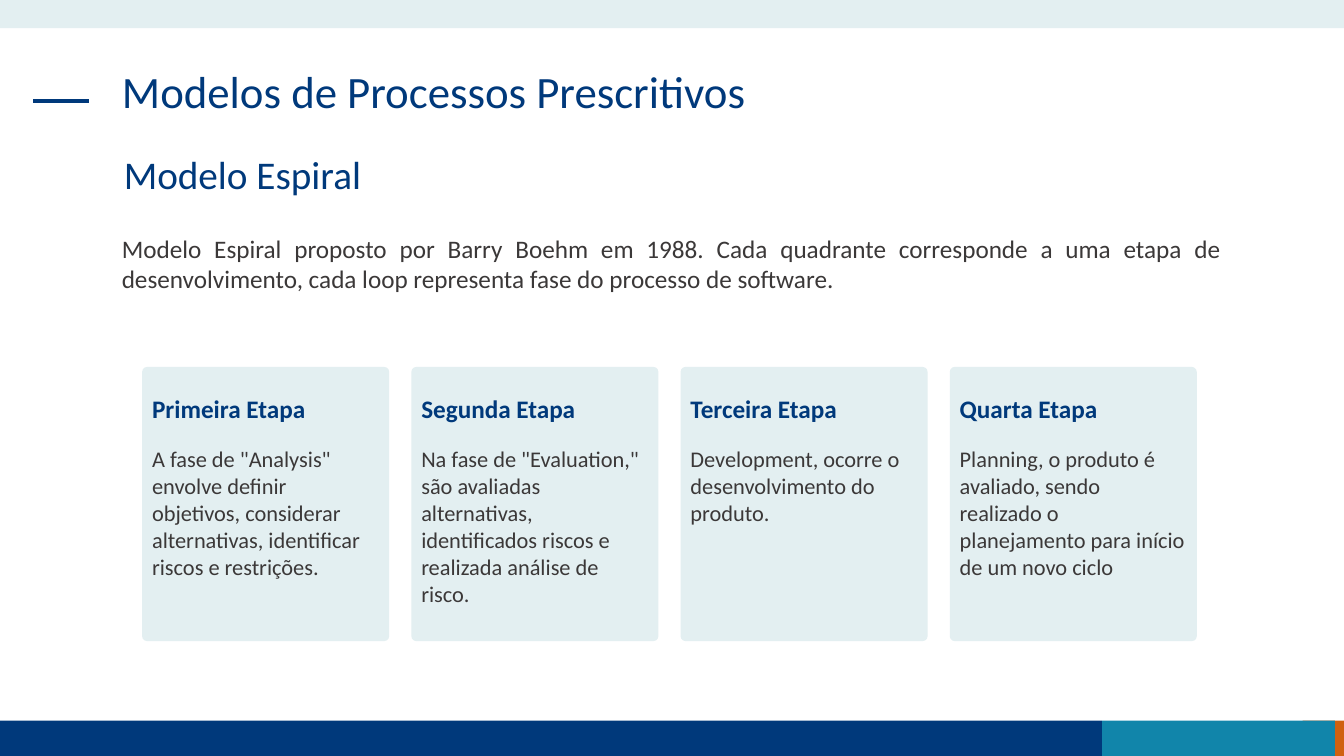
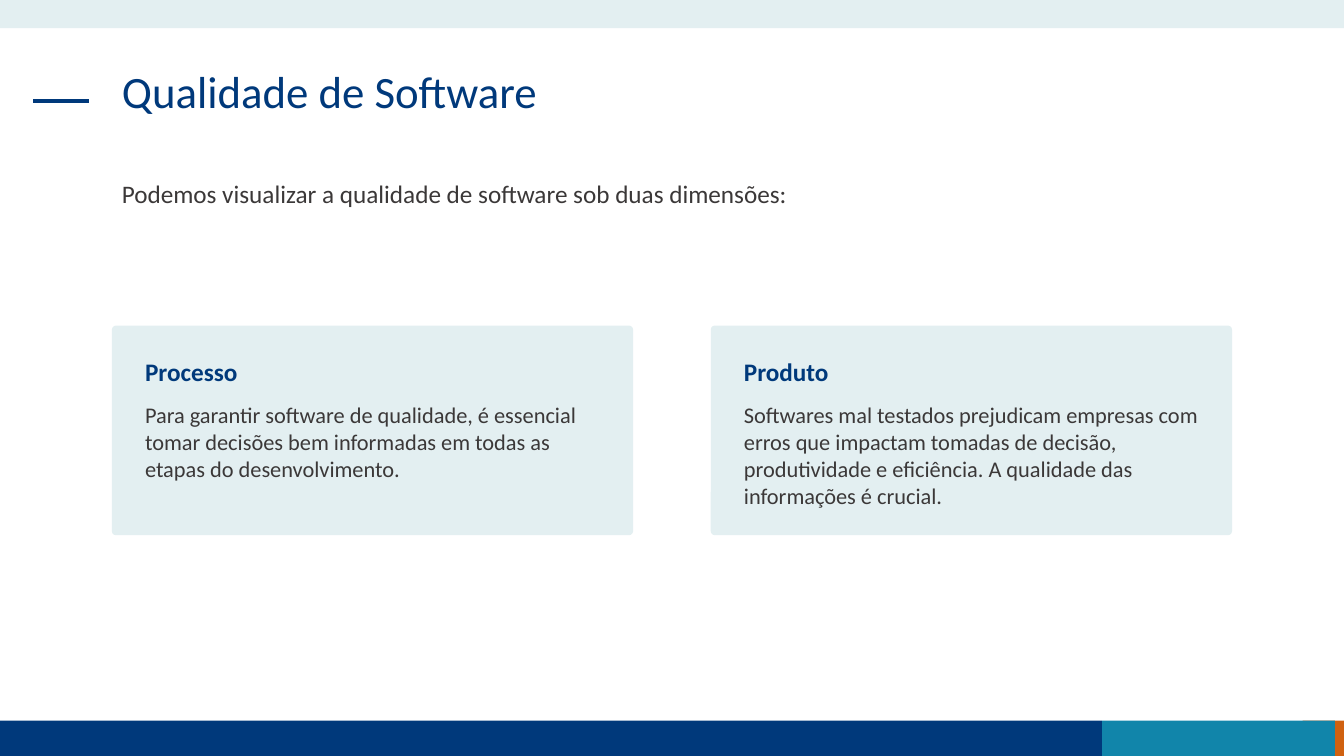
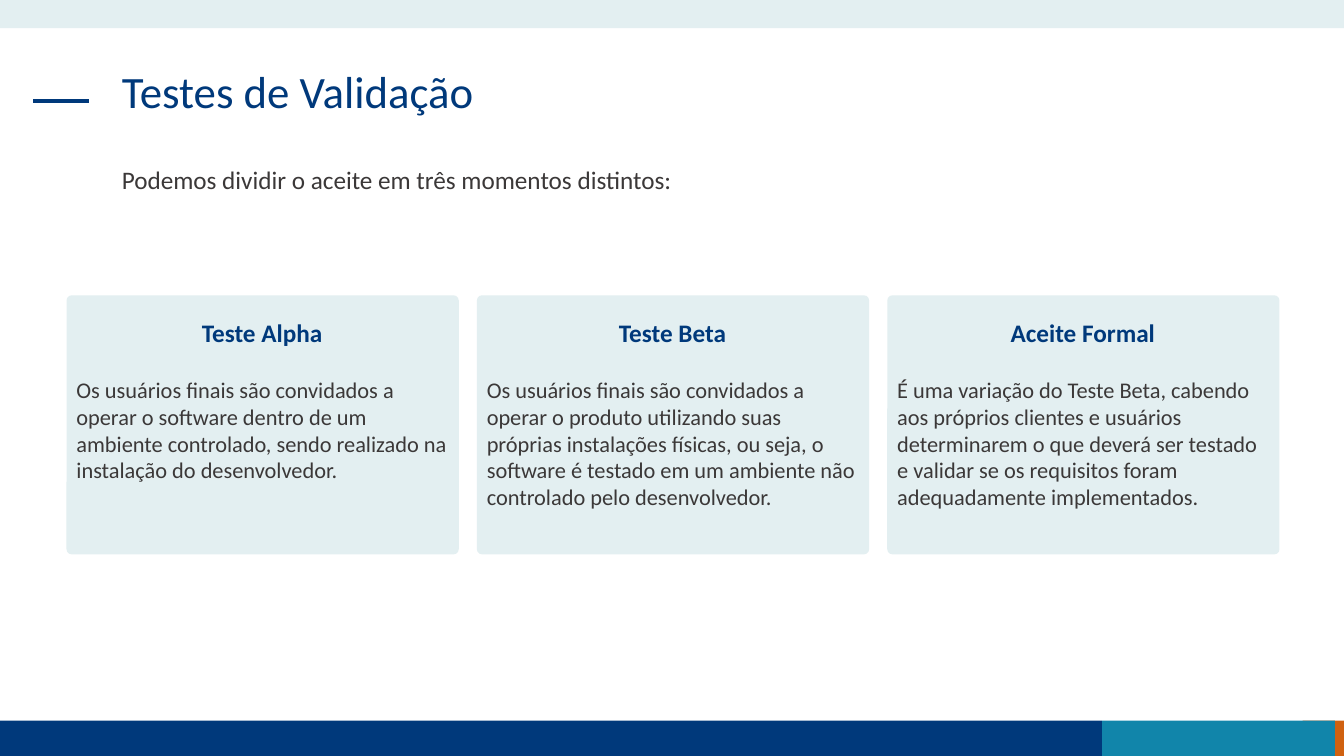
from pptx import Presentation
from pptx.dml.color import RGBColor
from pptx.enum.shapes import MSO_CONNECTOR, MSO_SHAPE
from pptx.enum.text import MSO_ANCHOR, MSO_AUTO_SIZE, PP_ALIGN
from pptx.oxml.ns import qn
from pptx.util import Inches, Pt
from lxml.etree import SubElement

COLORS = {"navy": "00397B", "teal": "1185AA", "orange": "D06110", "pale": "E3EFF1", "text": "3B3838"}
STYLES = {
    "title": {"size": Pt(32), "color": "navy", "line_spacing": 0.9},
    "subtitle": {"size": Pt(28), "color": "navy", "line_spacing": 0.9},
    "intro": {"size": Pt(18), "color": "text", "alignment": PP_ALIGN.JUSTIFY},
    "head": {"size": Pt(18), "color": "navy", "bold": True},
    "head_center": {"size": Pt(18), "color": "navy", "bold": True, "alignment": PP_ALIGN.CENTER},
    "body": {"size": Pt(16), "color": "text"},
}
BANDS = [
    ("orange", 12.92, 7.15, 0.41, 0.35),
    ("navy", 0, 7.15, 10.93, 0.35),
    ("teal", 10.93, 7.15, 2.31, 0.35),
    ("pale", 0, 0, 13.33, 0.28),
]
SLIDES = [
    {
        "title": "Modelos de Processos Prescritivos",
        "subtitle": "Modelo Espiral",
        "intro": ("Modelo Espiral proposto por Barry Boehm em 1988. Cada quadrante corresponde a uma etapa de "
                  "desenvolvimento, cada loop representa fase do processo de software.", 1.11, 2.26, 11.1, 0.71),
        "card": (1.41, 3.64, 2.45, 2.72), "gap": 0.22,
        "head": ("head", 0, 3.85, 2.45), "body": (0, 4.37, 2.45),
        "cards": [
            ("Primeira Etapa", 'A fase de "Analysis" envolve definir objetivos, considerar alternativas, '
                               "identificar riscos e restrições."),
            ("Segunda Etapa", 'Na fase de "Evaluation," são avaliadas alternativas, identificados riscos e '
                              "realizada análise de risco."),
            ("Terceira Etapa", "Development, ocorre o desenvolvimento do produto."),
            ("Quarta Etapa", "Planning, o produto é avaliado, sendo realizado o planejamento para início de "
                             "um novo ciclo"),
        ],
    },
    {
        "title": "Qualidade de Software",
        "intro": ("Podemos visualizar a qualidade de software sob duas dimensões:", 1.11, 1.72, 11.1, 0.4),
        "card": (1.11, 3.23, 5.17, 2.08), "gap": 0.77,
        "head": ("head", 0.23, 3.49, 4.47), "body": (0.23, 3.93, 4.71),
        "cards": [
            ("Processo", "Para garantir software de qualidade, é essencial tomar decisões bem informadas em "
                         "todas as etapas do desenvolvimento."),
            ("Produto", "Softwares mal testados prejudicam empresas com erros que impactam tomadas de decisão, "
                        "produtividade e eficiência. A qualidade das informações é crucial."),
        ],
    },
    {
        "title": "Testes de Validação",
        "intro": ("Podemos dividir o aceite em três momentos distintos:", 1.11, 1.58, 6.73, 0.4),
        "card": (0.66, 2.93, 3.89, 2.57), "gap": 0.18,
        "head": ("head_center", 0.2, 3.1, 3.48), "body": (0, 3.68, 3.87),
        "cards": [
            ("Teste Alpha", "Os usuários finais são convidados a operar o software dentro de um ambiente "
                            "controlado, sendo realizado na instalação do desenvolvedor."),
            ("Teste Beta", "Os usuários finais são convidados a operar o produto utilizando suas próprias "
                           "instalações físicas, ou seja, o software é testado em um ambiente não controlado "
                           "pelo desenvolvedor."),
            ("Aceite Formal", "É uma variação do Teste Beta, cabendo aos próprios clientes e usuários "
                              "determinarem o que deverá ser testado e validar se os requisitos foram "
                              "adequadamente implementados."),
        ],
    },
]


def write(sp, text, style, anchor=MSO_ANCHOR.TOP, fit=MSO_AUTO_SIZE.NONE):
    tf = sp.text_frame
    tf.word_wrap = True
    tf.auto_size = fit
    tf.vertical_anchor = anchor
    p = tf.paragraphs[0]
    p.alignment = PP_ALIGN.LEFT
    r = p.add_run()
    r.text = text
    r.font.name = "Calibri"
    for key, value in STYLES[style].items():
        if key == "color":
            r.font.color.rgb = RGBColor.from_string(COLORS[value])
        else:
            setattr(p if key in ("alignment", "line_spacing") else r.font, key, value)


def add_box(s, shape, color, x, y, w, h):
    sp = s.shapes.add_shape(shape, Inches(x), Inches(y), Inches(w), Inches(h))
    sp.shadow.inherit = False
    sp.fill.solid()
    sp.fill.fore_color.rgb = RGBColor.from_string(COLORS[color])
    sp.line.fill.background()
    return sp


prs = Presentation()
prs.slide_width, prs.slide_height = Inches(13.33), Inches(7.5)
layout = prs.slide_layouts[5]
for ph in list(layout.placeholders)[1:]:
    layout.shapes.element.remove(ph.element)

for number, data in enumerate(SLIDES):
    s = prs.slides.add_slide(layout)
    if number == 0:
        shared = [add_box(s, MSO_SHAPE.RECTANGLE, *band) for band in BANDS]
        dash = s.shapes.add_connector(MSO_CONNECTOR.STRAIGHT, Inches(0.33), Inches(1), Inches(0.88), Inches(1))
        dash.line.color.rgb = RGBColor.from_string(COLORS["navy"])
        dash.line.width = Pt(3)
        SubElement(dash.element.spPr, qn("a:effectLst"))
        for sp in shared + [dash]:
            layout.shapes.element.append(sp.element)

    title = s.shapes.title
    title.left, title.top, title.width, title.height = Inches(1.11), Inches(0.64), Inches(11.1), Inches(0.94)
    write(title, data["title"], "title")

    text, *box = data["intro"]
    intro = s.shapes.add_textbox(*[Inches(v) for v in box])
    write(intro, text, "intro", MSO_ANCHOR.MIDDLE, MSO_AUTO_SIZE.SHAPE_TO_FIT_TEXT)
    if "subtitle" in data:
        subtitle = s.shapes.add_textbox(Inches(1.13), Inches(1.49), Inches(7.71), Inches(0.59))
        write(subtitle, data["subtitle"], "subtitle")

    left, top, width, height = data["card"]
    head_style, head_inset, head_top, head_width = data["head"]
    body_inset, body_top, body_width = data["body"]
    for i, (head, body) in enumerate(data["cards"]):
        x = left + i * (width + data["gap"])
        card = add_box(s, MSO_SHAPE.ROUNDED_RECTANGLE, "pale", x, top, width, height)
        card.adjustments[0] = 0.02
        for text, style, inset, y, w, h in (
            (head, head_style, head_inset, head_top, head_width, 0.4),
            (body, "body", body_inset, body_top, body_width, 1.45),
        ):
            sp = s.shapes.add_textbox(Inches(x + inset), Inches(y), Inches(w), Inches(h))
            write(sp, text, style, fit=MSO_AUTO_SIZE.SHAPE_TO_FIT_TEXT)

prs.save("out.pptx")
